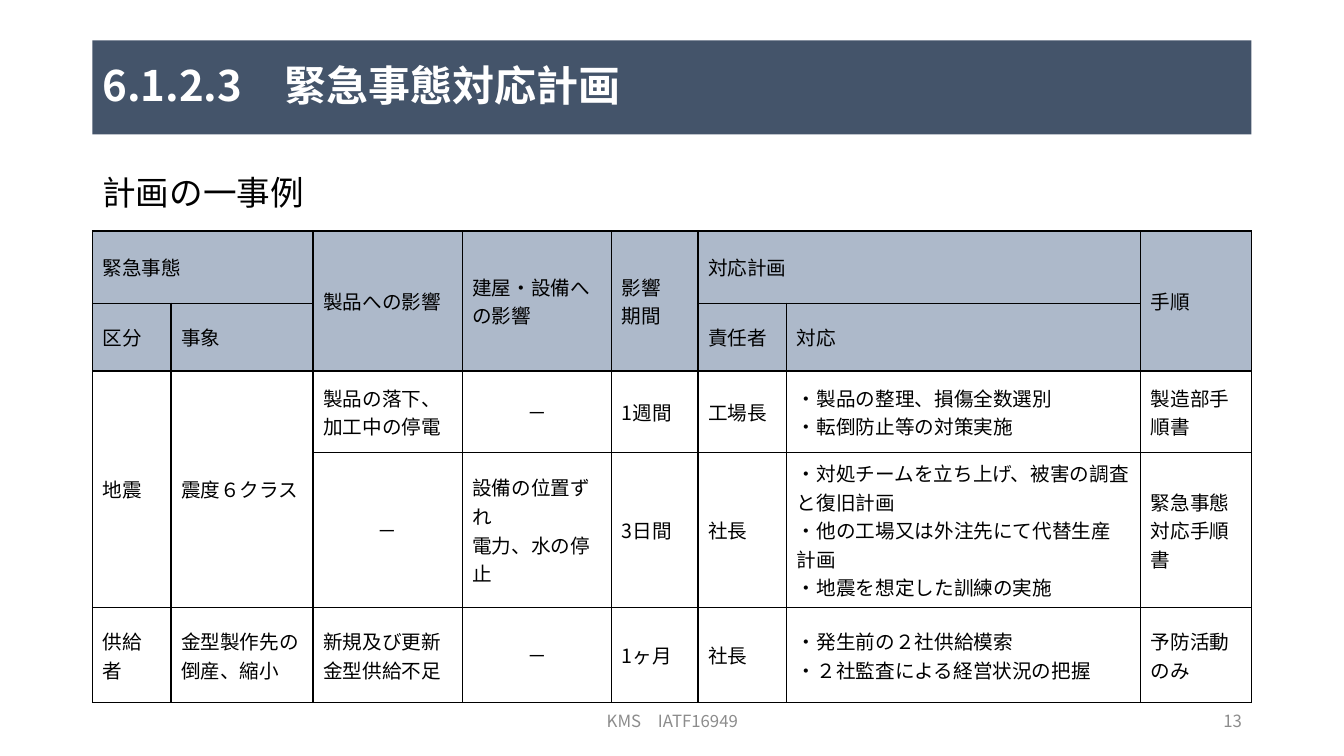
from dataclasses import dataclass, field
from itertools import product
from typing import Any

from lxml.etree import SubElement
from pptx import Presentation
from pptx.dml.color import RGBColor
from pptx.enum.shapes import MSO_SHAPE
from pptx.enum.text import MSO_ANCHOR, PP_ALIGN
from pptx.oxml import parse_xml
from pptx.oxml.ns import nsdecls, qn
from pptx.util import Cm, Pt


@dataclass(frozen=True)
class Theme:
    font: str = "Noto Sans CJK JP"
    banner: str = "44546A"
    header: str = "ADB9CA"
    ink: str = "000000"
    light: str = "FFFFFF"
    muted: str = "8C8C8C"
    title_size: int = 30
    lead_size: int = 24
    cell_size: int = 14
    footer_size: int = 12
    border_width: int = 1


THEME = Theme()


@dataclass(frozen=True)
class TextStyle:
    size: int
    color: str
    bold: bool = False
    paragraph: dict[str, Any] = field(default_factory=dict)


@dataclass(frozen=True)
class Box:
    text: str
    left: float
    top: float
    width: float
    height: float
    style: TextStyle
    anchor: MSO_ANCHOR = MSO_ANCHOR.MIDDLE
    fill: str | None = None


@dataclass(frozen=True)
class PlanCell:
    row: int
    column: int
    text: str
    rows: int = 1
    columns: int = 1


def write_text(frame: Any, text: str, style: TextStyle) -> None:
    """Write one paragraph per line of text."""
    frame.word_wrap = True
    for index, line in enumerate(text.split("\n")):
        paragraph = frame.paragraphs[0] if index == 0 else frame.add_paragraph()
        for name, value in ({"alignment": PP_ALIGN.LEFT} | style.paragraph).items():
            setattr(paragraph, name, value)
        run = paragraph.add_run()
        run.text = line
        font_format = {"name": THEME.font, "size": Pt(style.size), "bold": style.bold}
        for name, value in font_format.items():
            setattr(run.font, name, value)
        run.font.color.rgb = RGBColor.from_string(style.color)
        SubElement(run.font._element, qn("a:ea")).set("typeface", THEME.font)


def draw_box(slide: Any, box: Box) -> None:
    place = [Cm(n) for n in (box.left, box.top, box.width, box.height)]
    if box.fill:
        shape = slide.shapes.add_shape(MSO_SHAPE.RECTANGLE, *place)
        shape.shadow.inherit = False
        shape.fill.solid()
        shape.fill.fore_color.rgb = RGBColor.from_string(box.fill)
        shape.line.fill.background()
    else:
        shape = slide.shapes.add_textbox(*place)
    shape.text_frame.vertical_anchor = box.anchor
    write_text(shape.text_frame, box.text, box.style)


def draw_borders(cell: Any) -> None:
    properties = cell._tc.get_or_add_tcPr()
    for index, side in enumerate("LRTB"):
        properties.insert(index, parse_xml(
            f'<a:ln{side} {nsdecls("a")} w="{Pt(THEME.border_width)}"><a:solidFill>'
            f'<a:srgbClr val="{THEME.ink}"/></a:solidFill></a:ln{side}>'))


def draw_plan(slide: Any, cells: list[PlanCell]) -> None:
    table = slide.shapes.add_table(
        len(ROW_HEIGHTS), len(COLUMN_WIDTHS), Cm(LEFT), Cm(5.82),
        Cm(WIDTH), Cm(sum(ROW_HEIGHTS))).table
    for name in ("first_row", "horz_banding"):
        setattr(table, name, False)
    for column, width in zip(table.columns, COLUMN_WIDTHS):
        column.width = Cm(width)
    for row, height in zip(table.rows, ROW_HEIGHTS):
        row.height = Cm(height)

    for row, column in product(range(len(ROW_HEIGHTS)), range(len(COLUMN_WIDTHS))):
        cell = table.cell(row, column)
        if row < HEADER_ROWS:
            cell.fill.solid()
            cell.fill.fore_color.rgb = RGBColor.from_string(THEME.header)
        else:
            cell.fill.background()
        draw_borders(cell)

    for item in cells:
        cell = table.cell(item.row, item.column)
        if item.rows > 1 or item.columns > 1:
            cell.merge(table.cell(item.row + item.rows - 1,
                                  item.column + item.columns - 1))
        cell.vertical_anchor = MSO_ANCHOR.MIDDLE
        align = PP_ALIGN.CENTER if item.text == NO_EFFECT else PP_ALIGN.LEFT
        write_text(cell.text_frame, item.text,
                   TextStyle(THEME.cell_size, THEME.ink, paragraph={"alignment": align}))


LEFT, WIDTH = 2.33, 29.21
FOOTER_TOP, FOOTER_HEIGHT = 17.65, 1.02
COLUMN_WIDTHS = [1.98, 3.58, 3.76, 3.76, 2.18, 2.24, 8.92, 2.79]
# The fourth row holds five lines; the last row ends above the footer text
ROW_HEIGHTS = [1.82, 1.71, 2.06, 3.9, 2.4]
HEADER_ROWS = 2
NO_EFFECT = "\uff0d"

# Footer, title banner and lead line
FOOTERS = [
    Box(text, left, FOOTER_TOP, width, FOOTER_HEIGHT,
        TextStyle(THEME.footer_size, THEME.muted, paragraph={"alignment": align}))
    for text, left, width, align in (
        ("KMS\u3000IATF16949", 11.23, 11.43, PP_ALIGN.CENTER),
        ("13", 23.93, 7.62, PP_ALIGN.RIGHT))
]
TITLE = Box("6.1.2.3\u3000緊急事態対応計画", LEFT, 1.02, WIDTH, 2.37,
            TextStyle(THEME.title_size, THEME.light, True, {"line_spacing": 0.9}),
            fill=THEME.banner)
LEAD = Box("計画の一事例", LEFT, 4.32, WIDTH, 1.5,
           TextStyle(THEME.lead_size, THEME.ink,
                     paragraph={"line_spacing": 0.9, "space_before": Pt(10)}),
           MSO_ANCHOR.TOP)

# Contingency plan
PLAN = [
    PlanCell(0, 0, "緊急事態", columns=2),
    PlanCell(0, 2, "製品への影響", rows=2),
    PlanCell(0, 3, "建屋・設備への影響", rows=2),
    PlanCell(0, 4, "影響\n期間", rows=2),
    PlanCell(0, 5, "対応計画", columns=2),
    PlanCell(0, 7, "手順", rows=2),
    PlanCell(1, 0, "区分"),
    PlanCell(1, 1, "事象"),
    PlanCell(1, 5, "責任者"),
    PlanCell(1, 6, "対応"),
    PlanCell(2, 0, "地震", rows=2),
    PlanCell(2, 1, "震度\uff16クラス", rows=2),
]
MEASURES = {
    (2, 2): ["製品の落下、加工中の停電", NO_EFFECT, "1週間", "工場長",
             "・製品の整理、損傷全数選別\n・転倒防止等の対策実施", "製造部手順書"],
    (3, 2): [NO_EFFECT, "設備の位置ずれ\n電力、水の停止", "3日間", "社長",
             "・対処チームを立ち上げ、被害の調査と復旧計画\n"
             "・他の工場又は外注先にて代替生産計画\n・地震を想定した訓練の実施",
             "緊急事態対応手順書"],
    (4, 0): ["供給者", "金型製作先の倒産、縮小", "新規及び更新金型供給不足", NO_EFFECT,
             "1ヶ月", "社長",
             "・発生前の\uff12社供給模索\n・\uff12社監査による経営状況の把握",
             "予防活動のみ"],
}
PLAN += [PlanCell(row, column, text)
         for (row, first), texts in MEASURES.items()
         for column, text in enumerate(texts, first)]

# Slide
deck = Presentation()
deck.slide_width, deck.slide_height = Cm(33.87), Cm(19.05)
plan_slide = deck.slides.add_slide(deck.slide_layouts[6])
for part in (*FOOTERS, TITLE):
    draw_box(plan_slide, part)
draw_plan(plan_slide, PLAN)
draw_box(plan_slide, LEAD)
deck.save("out.pptx")
